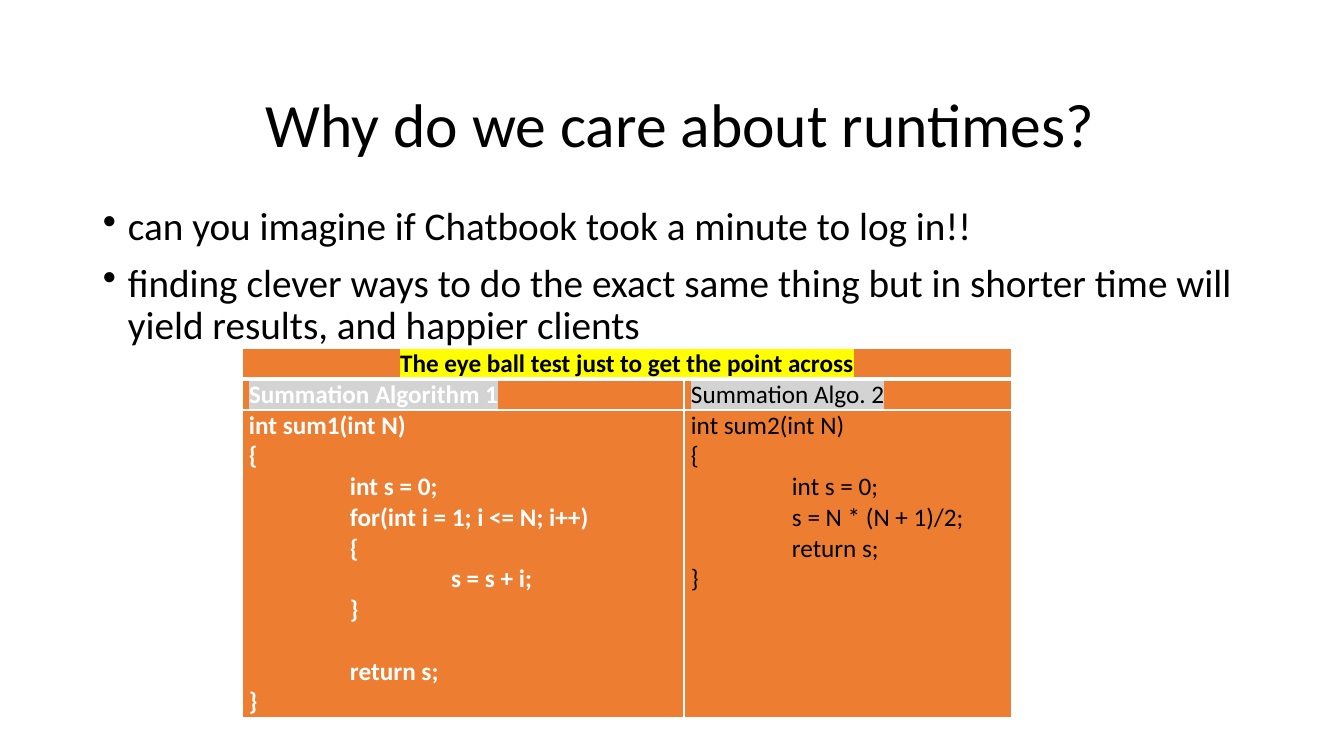
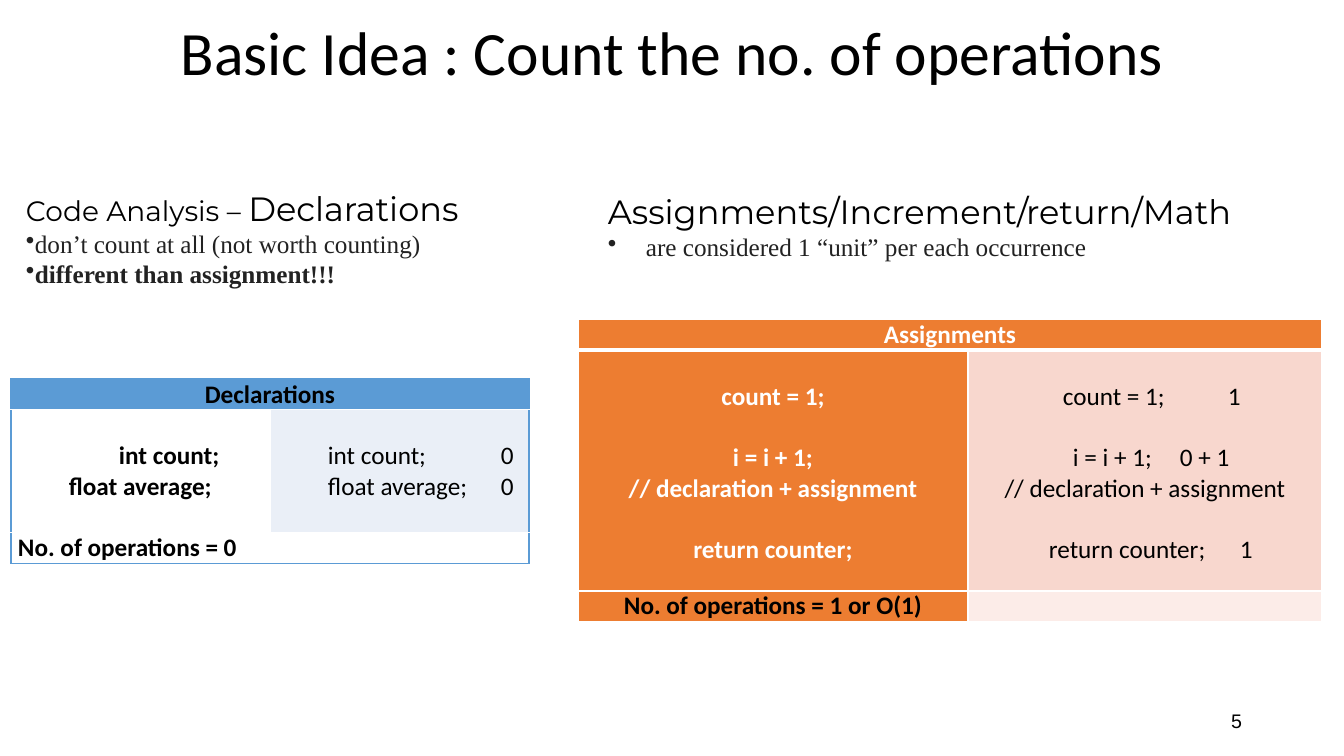
from lxml.etree import SubElement
from pptx import Presentation
from pptx.dml.color import RGBColor
from pptx.enum.text import MSO_ANCHOR, PP_ALIGN
from pptx.oxml import parse_xml
from pptx.oxml.ns import nsdecls, qn
from pptx.util import Pt

PX = 9071  # EMU per pixel
BLACK, WHITE, INK = "000000", "FFFFFF", "222222"
ORANGE, PEACH, BLUSH = "ED7D31", "F8D7CE", "FCECE8"
BLUE, PALE_BLUE = "5B9BD5", "EAEFF7"
YELLOW, GREY = "FFFF00", "D3D3D3"
PLAIN = {"name": "Calibri", "size": 18, "bold": False, "color": BLACK}
TITLE = {"size": 44, "alignment": PP_ALIGN.CENTER, "line_spacing": 0.9}
CENTER = {"alignment": PP_ALIGN.CENTER}
BOLD_WHITE = {"bold": True, "color": WHITE}
LINE = Pt(22)


def write(frame, lines, **base):
    """Fill a text frame; each line is a string or a dict of format values."""
    for index, line in enumerate(lines):
        para = frame.paragraphs[0] if index == 0 else frame.add_paragraph()
        look = {**PLAIN, **base, **(line if isinstance(line, dict) else {"text": line})}
        for key in ("alignment", "line_spacing", "space_before"):
            if key in look:
                setattr(para, key, look[key])
        props = para._p.get_or_add_pPr()
        for key in ("marL", "indent"):
            if key in look:
                props.set(key, str(look[key] * PX))
        if look.get("bullet"):
            SubElement(props, qn("a:buChar")).set("char", "•")
        if "tabs" in look:
            stops = SubElement(props, qn("a:tabLst"))
            for position in look["tabs"]:
                stop = SubElement(stops, qn("a:tab"))
                stop.set("pos", str(position * PX))
                stop.set("algn", "l")
        for text, size in look.get("parts") or [(look["text"], look["size"])]:
            run = para.add_run()
            run.text = text
            for key, value in {"name": look["name"], "size": Pt(size), "bold": look["bold"]}.items():
                setattr(run.font, key, value)
            run.font.color.rgb = RGBColor.from_string(look["color"])
            if "highlight" in look:
                run._r.rPr.find(qn("a:solidFill")).addnext(parse_xml(
                    f'<a:highlight {nsdecls("a")}><a:srgbClr val="{look["highlight"]}"/></a:highlight>'))


def add_grid(slide, left, top, widths, heights, rows, edge, header_rule=1, inner=True):
    """Add a table; a row with one cell spans the whole width."""
    grid = slide.shapes.add_table(len(heights), len(widths), left * PX, top * PX,
                                  sum(widths) * PX, sum(heights) * PX).table
    for column, width in zip(grid.columns, widths):
        column.width = width * PX
    for r, (height, cells) in enumerate(zip(heights, rows)):
        grid.rows[r].height = height * PX
        spans = len(cells) == 1
        if spans:
            grid.cell(r, 0).merge(grid.cell(r, len(widths) - 1))
        for c, content in enumerate(cells):
            cell = grid.cell(r, c)
            margins = {"margin_left": 7, "margin_right": 7, "margin_bottom": 0,
                       "margin_top": content.get("inset", 0)}
            for key, value in margins.items():
                setattr(cell, key, value * PX)
            sides = {"lnL": c == 0 or inner, "lnR": spans or c == len(widths) - 1 or inner,
                     "lnT": r == 0, "lnB": True}
            for side, shown in sides.items():
                if shown:
                    weight = Pt(header_rule if r == 0 and side == "lnB" else 1)
                    cell._tc.get_or_add_tcPr().append(parse_xml(
                        f'<a:{side} {nsdecls("a")} w="{weight}"><a:solidFill>'
                        f'<a:srgbClr val="{edge}"/></a:solidFill></a:{side}>'))
            cell.fill.solid()
            cell.fill.fore_color.rgb = RGBColor.from_string(content["fill"])
            write(cell.text_frame, content.get("lines", []), **content.get("look", {}))


deck = Presentation()
deck.slide_width, deck.slide_height = 1344 * PX, 756 * PX
runtimes, counting = [deck.slides.add_slide(deck.slide_layouts[6]) for _ in range(2)]

bullet_28 = {"size": 28, "bullet": True, "marL": 25, "indent": -25,
             "line_spacing": 0.9, "space_before": Pt(10)}
serif = {"name": "Times New Roman", "color": INK, "bullet": True}
middle, upper = MSO_ANCHOR.MIDDLE, MSO_ANCHOR.TOP
texts = [
    (runtimes, (101, 55, 1159, 146), middle, ["Why do we care about runtimes?"], TITLE),
    (runtimes, (93, 202, 1159, 480), upper, [
        "can you imagine if Chatbook took a minute to log in!!",
        "finding clever ways to do the exact same thing but in shorter time will "
        "yield results, and happier clients"], bullet_28),
    (counting, (93, 17, 1159, 146), upper, ["Basic Idea : Count the no. of operations"], TITLE),
    (counting, (950, 701, 302, 40), middle, ["5"],
     {"name": "Arial", "size": 14, "alignment": PP_ALIGN.RIGHT}),
    (counting, (16, 183, 507, 142), upper, [
        {"parts": [("Code Analysis – ", 20), ("Declarations", 24)], "name": "Montserrat"},
        {"text": "don’t count at all (not worth counting)", **serif},
        {"text": "different than assignment!!!", **serif, "bold": True}], {}),
    (counting, (598, 186, 721, 82), upper, [
        {"text": "Assignments/Increment/return/Math", "name": "Montserrat", "size": 24},
        {"text": "are considered 1 “unit” per each occurrence", **serif,
         "marL": 38, "indent": -38}], {}),
]
for slide, box, anchor, lines, look in texts:
    frame = slide.shapes.add_textbox(*[length * PX for length in box]).text_frame
    frame.word_wrap = True
    frame.vertical_anchor = anchor
    write(frame, lines, **look)

loop_code = [(0, "int sum1(int N)"), (0, "{"), (1, "int s = 0;"), (1, "for(int i = 1; i <= N; i++)"),
             (1, "{"), (2, "s = s + i;"), (1, "}"), (1, "return s;"), (0, "}")]
formula_code = [(0, "int sum2(int N)"), (0, "{"), (1, "int s = 0;"),
                (1, "s = N * (N + 1)/2;"), (1, "return s;"), (0, "}")]
loop_lines, formula_lines = [
    [{"text": text, "marL": 101 * depth} for depth, text in code]
    for code in (loop_code, formula_code)]
loop_lines[7]["space_before"] = LINE
add_grid(runtimes, 242, 348, [442, 328], [31, 31, 308], [
    [{"fill": ORANGE, "lines": ["The eye ball test just to get the point across"],
      "look": {**CENTER, "bold": True, "highlight": YELLOW}}],
    [{"fill": ORANGE, "lines": ["Summation Algorithm 1"], "look": {**BOLD_WHITE, "highlight": GREY}},
     {"fill": ORANGE, "lines": ["Summation Algo. 2"], "look": {"highlight": GREY}}],
    [{"fill": ORANGE, "lines": loop_lines, "look": BOLD_WHITE},
     {"fill": ORANGE, "lines": formula_lines}],
], WHITE, header_rule=3)

add_grid(counting, 11, 379, [259, 259], [30, 123, 31], [
    [{"fill": BLUE, "lines": ["Declarations"], "look": {**CENTER, "bold": True}}],
    [{"fill": WHITE, "inset": 31, "look": {"bold": True},
      "lines": [{"text": "int count;", "marL": 101}, {"text": "float average;", "marL": 51}]},
     {"fill": PALE_BLUE, "inset": 31, "look": {"tabs": [51, 224]},
      "lines": ["\tint count;\t0", "\tfloat average;\t0"]}],
    [{"fill": WHITE, "lines": ["No. of operations = 0"], "look": {"bold": True}}, {"fill": WHITE}],
], BLUE, inner=False)

add_grid(counting, 578, 319, [390, 354], [31, 241, 30], [
    [{"fill": ORANGE, "lines": ["Assignments"], "look": {**CENTER, **BOLD_WHITE}}],
    [{"fill": ORANGE, "inset": 31, "look": {**CENTER, **BOLD_WHITE}, "lines": [
        "count = 1;", {"text": "i = i + 1;", "space_before": LINE},
        "// declaration + assignment", {"text": "return counter;", "space_before": LINE}]},
     {"fill": PEACH, "inset": 31, "lines": [
         {"text": "\tcount = 1;\t1", "tabs": [88, 253]},
         {"text": "\ti = i + 1;\t0 + 1", "tabs": [98, 205], "space_before": LINE},
         {"text": "// declaration + assignment", **CENTER},
         {"text": "\treturn counter;\t1", "tabs": [74, 265], "space_before": LINE}]}],
    [{"fill": ORANGE, "lines": ["No. of operations = 1 or O(1)"], "look": {**CENTER, "bold": True}},
     {"fill": BLUSH}],
], WHITE, header_rule=3)

deck.save("out.pptx")
